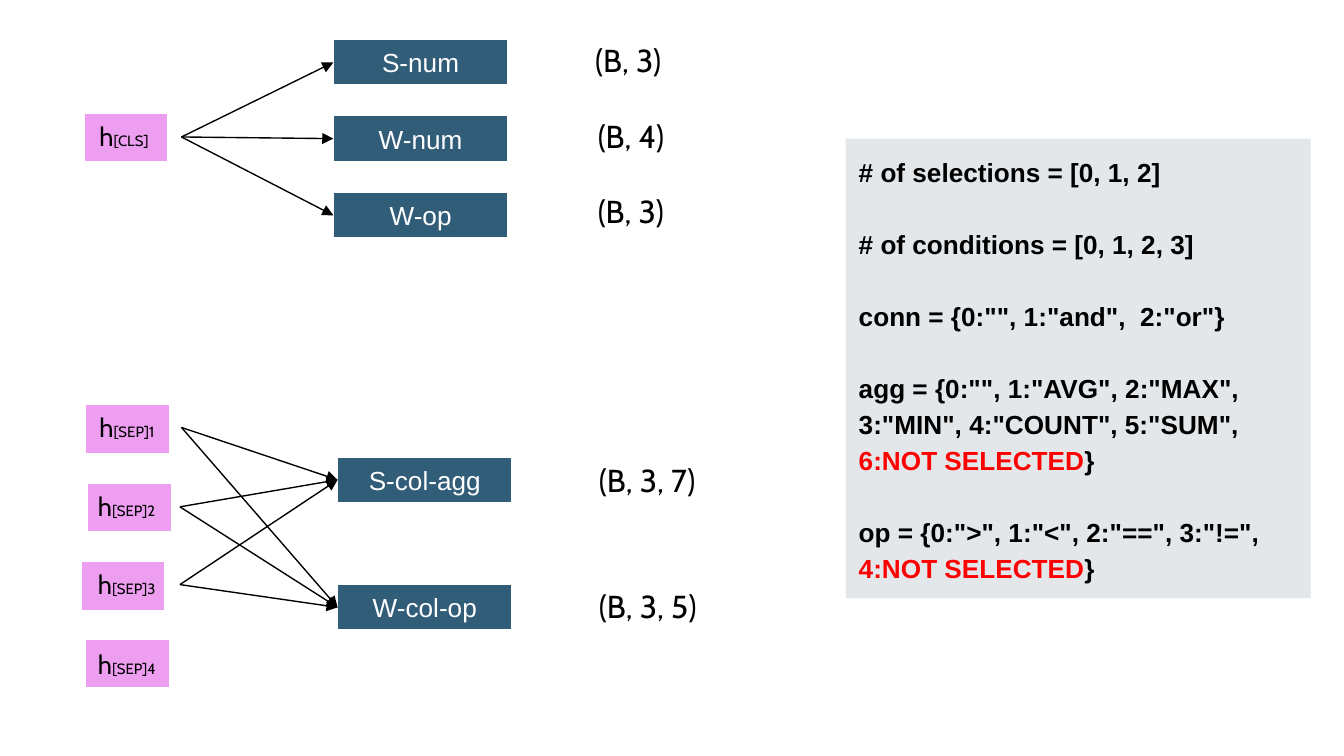
"""Build a slide of model heads, their inputs, output shapes and label dictionaries."""
from dataclasses import dataclass
from typing import Any

from lxml.etree import SubElement
from pptx import Presentation
from pptx.dml.color import RGBColor
from pptx.enum.shapes import MSO_CONNECTOR, MSO_SHAPE
from pptx.enum.text import MSO_ANCHOR, PP_ALIGN
from pptx.oxml.ns import qn
from pptx.util import Cm, Pt

PINK = RGBColor(0xEE, 0x9E, 0xF1)
BLUE = RGBColor(0x32, 0x5D, 0x79)
GREY = RGBColor(0xE3, 0xE7, 0xEA)
WHITE = RGBColor(0xFF, 0xFF, 0xFF)
BLACK = RGBColor(0x00, 0x00, 0x00)
RED = RGBColor(0xFF, 0x00, 0x00)

FRAME_FORMAT = {
    "word_wrap": True,
    "margin_left": Cm(0.25),
    "margin_right": Cm(0.25),
    "margin_top": Cm(0.25),
    "margin_bottom": Cm(0.25),
}
TOKEN_FONT = {"name": "Cabin", "size": Pt(14)}
INDEX_FONT = {"name": "Cabin", "size": Pt(8)}
OUTPUT_FONT = {"name": "Cabin", "size": Pt(17)}
HEAD_FONT = {"name": "Arial", "size": Pt(14)}
PANEL_FONT = {"name": "Arial", "size": Pt(14), "bold": True}


@dataclass(frozen=True)
class Token:
    index: str
    tile_left: float
    tile_top: float
    label_left: float
    label_top: float


@dataclass(frozen=True)
class Head:
    name: str
    left: float
    top: float
    output: str
    output_left: float
    output_top: float


@dataclass(frozen=True)
class Entry:
    text: str
    extra: str = ""


CLS_TOKEN = Token("[CLS]", 1.59, 2.14, 1.63, 2.03)
SEP_TOKENS = [
    Token("[SEP]1", 1.62, 7.65, 1.63, 7.52),
    Token("[SEP]2", 1.66, 9.13, 1.6, 9.02),
    Token("[SEP]3", 1.53, 10.62, 1.6, 10.49),
    Token("[SEP]4", 1.62, 12.09, 1.6, 12.01),
]
CLS_HEADS = [
    Head("S-num", 6.3, 0.75, "(B, 3)", 11, 0.53),
    Head("W-num", 6.3, 2.19, "(B, 4)", 11.05, 1.96),
    Head("W-op", 6.3, 3.64, "(B, 3)", 11.05, 3.38),
]
SEP_HEADS = [
    Head("S-col-agg", 6.38, 8.64, "(B, 3, 7)", 11.07, 8.46),
    Head("W-col-op", 6.38, 11.05, "(B, 3, 5)", 11.07, 10.85),
]
ENTRIES = [
    Entry("# of selections = [0, 1, 2]"),
    Entry("# of conditions = [0, 1, 2, 3]"),
    Entry('conn = {0:"", 1:"and",  2:"or"}'),
    Entry('agg = {0:"", 1:"AVG", 2:"MAX", 3:"MIN", 4:"COUNT", 5:"SUM", ', "6:NOT SELECTED"),
    Entry('op = {0:">", 1:"<", 2:"==", 3:"!=", ', "4:NOT SELECTED"),
]


def apply_format(target: Any, values: dict[str, Any]) -> None:
    """Set each named attribute of the target."""
    for name, value in values.items():
        setattr(target, name, value)


def add_span(para: Any, text: str, font: dict[str, Any], color: RGBColor = BLACK) -> None:
    """Append a formatted run to a paragraph."""
    span = para.add_run()
    span.text = text
    apply_format(span.font, font)
    span.font.color.rgb = color


def add_box(page: Any, left: float, top: float, width: float, height: float,
            fill: RGBColor, outline: RGBColor | None = None) -> Any:
    """Draw a filled rectangle."""
    box = page.shapes.add_shape(MSO_SHAPE.RECTANGLE, Cm(left), Cm(top), Cm(width), Cm(height))
    box.shadow.inherit = False
    box.fill.solid()
    box.fill.fore_color.rgb = fill
    if outline is None:
        box.line.fill.background()
    else:
        box.line.color.rgb = outline
        box.line.width = Pt(0.75)
    apply_format(box.text_frame, FRAME_FORMAT)
    return box


def add_label(page: Any, left: float, top: float, width: float, height: float) -> Any:
    """Add an empty text box with the common margins."""
    label = page.shapes.add_textbox(Cm(left), Cm(top), Cm(width), Cm(height))
    apply_format(label.text_frame, FRAME_FORMAT)
    return label


def add_token(page: Any, token: Token) -> Any:
    """Draw a hidden-state tile and return its label."""
    add_box(page, token.tile_left, token.tile_top, 1.58, 0.92, PINK, WHITE)
    label = add_label(page, token.label_left, token.label_top, 1.8, 1.12)
    para = label.text_frame.paragraphs[0]
    add_span(para, "h", TOKEN_FONT)
    add_span(para, token.index, INDEX_FONT)
    return label


def add_head(page: Any, head: Head) -> Any:
    """Draw a head with its output shape and return the head box."""
    box = add_box(page, head.left, head.top, 3.3, 0.86, BLUE, WHITE)
    box.text_frame.vertical_anchor = MSO_ANCHOR.MIDDLE
    para = box.text_frame.paragraphs[0]
    para.alignment = PP_ALIGN.CENTER
    add_span(para, head.name, HEAD_FONT, WHITE)
    output = add_label(page, head.output_left, head.output_top, 3.23, 1.24)
    add_span(output.text_frame.paragraphs[0], head.output, OUTPUT_FONT)
    return box


def add_arrow(page: Any, source: Any, target: Any) -> None:
    """Join the right side of the source to the left side of the target."""
    arrow = page.shapes.add_connector(MSO_CONNECTOR.STRAIGHT, 0, 0, 0, 0)
    arrow.begin_connect(source, 3)
    arrow.end_connect(target, 1)
    arrow.line.color.rgb = BLACK
    arrow.line.width = Pt(0.75)
    SubElement(arrow.line._get_or_add_ln(), qn("a:tailEnd"), type="triangle")
    SubElement(arrow._element.spPr, qn("a:effectLst"))


def add_panel(page: Any, entries: list[Entry]) -> None:
    """Draw the grey panel that lists the label dictionaries."""
    frame = add_box(page, 15.98, 2.62, 8.79, 8.69, GREY).text_frame
    frame.vertical_anchor = MSO_ANCHOR.TOP
    for number, entry in enumerate(entries):
        para = frame.add_paragraph() if number else frame.paragraphs[0]
        space = Pt(19.3) if number else Pt(0)
        apply_format(para, {"alignment": PP_ALIGN.LEFT, "line_spacing": 1.15, "space_before": space})
        add_span(para, entry.text, PANEL_FONT)
        if entry.extra:
            add_span(para, entry.extra, PANEL_FONT, RED)
            add_span(para, "}", PANEL_FONT)


def main() -> None:
    """Assemble and save the deck."""
    deck = Presentation()
    apply_format(deck, {"slide_width": Cm(25.4), "slide_height": Cm(14.29)})
    page = deck.slides.add_slide(deck.slide_layouts[6])
    for tokens, heads, linked in (([CLS_TOKEN], CLS_HEADS, 1), (SEP_TOKENS, SEP_HEADS, 3)):
        labels = [add_token(page, token) for token in tokens]
        boxes = [add_head(page, head) for head in heads]
        for label in labels[:linked]:
            for box in boxes:
                add_arrow(page, label, box)
    add_panel(page, ENTRIES)
    deck.save("out.pptx")


if __name__ == "__main__":
    main()
